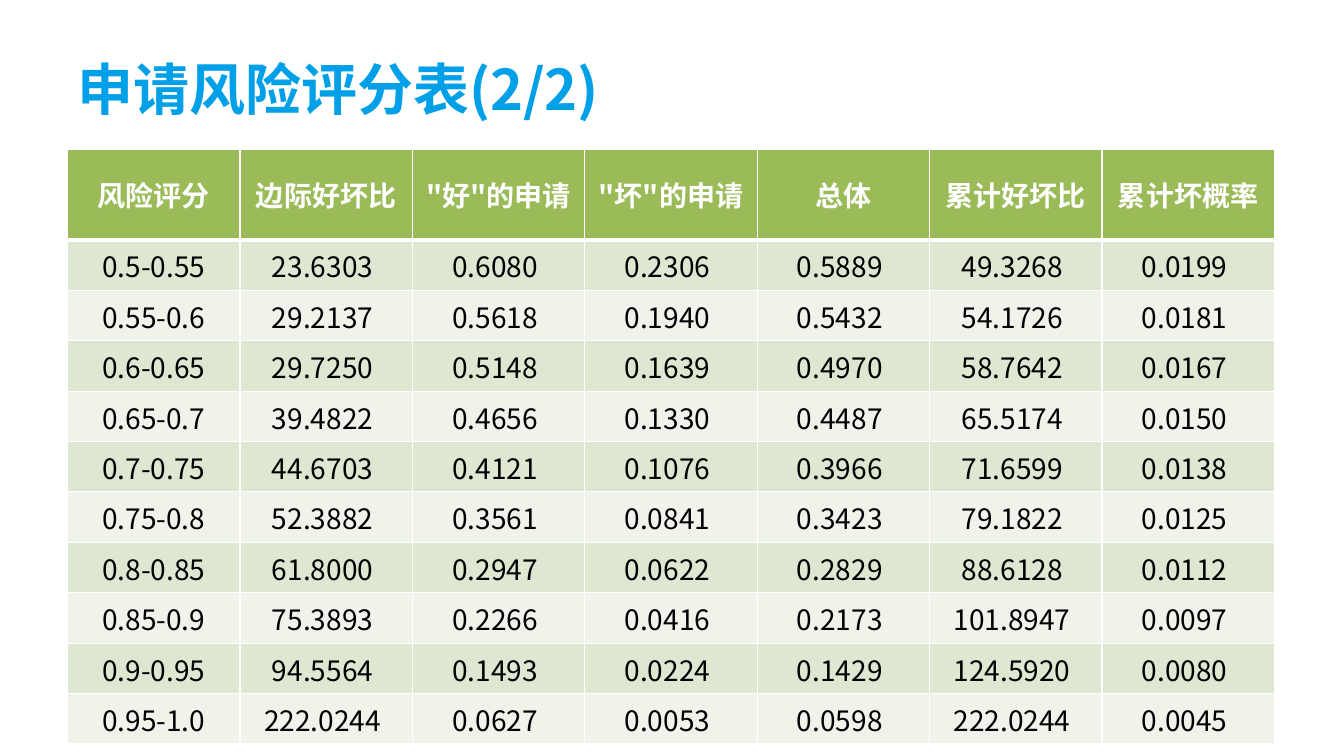
from dataclasses import dataclass

from lxml import etree
from pptx import Presentation
from pptx import util as u
from pptx.dml.color import RGBColor
from pptx.enum import text
from pptx.oxml import ns

FONT = "Noto Sans CJK SC"
WHITE = "FFFFFF"
HEADINGS = ["风险评分", "边际好坏比", '"好"的申请', '"坏"的申请', "总体", "累计好坏比", "累计坏概率"]
SCORES = [
    ["0.5-0.55", "23.6303", "0.6080", "0.2306", "0.5889", "49.3268", "0.0199"],
    ["0.55-0.6", "29.2137", "0.5618", "0.1940", "0.5432", "54.1726", "0.0181"],
    ["0.6-0.65", "29.7250", "0.5148", "0.1639", "0.4970", "58.7642", "0.0167"],
    ["0.65-0.7", "39.4822", "0.4656", "0.1330", "0.4487", "65.5174", "0.0150"],
    ["0.7-0.75", "44.6703", "0.4121", "0.1076", "0.3966", "71.6599", "0.0138"],
    ["0.75-0.8", "52.3882", "0.3561", "0.0841", "0.3423", "79.1822", "0.0125"],
    ["0.8-0.85", "61.8000", "0.2947", "0.0622", "0.2829", "88.6128", "0.0112"],
    ["0.85-0.9", "75.3893", "0.2266", "0.0416", "0.2173", "101.8947", "0.0097"],
    ["0.9-0.95", "94.5564", "0.1493", "0.0224", "0.1429", "124.5920", "0.0080"],
    ["0.95-1.0", "222.0244", "0.0627", "0.0053", "0.0598", "222.0244", "0.0045"],
]
COLUMN_WIDTH = 1.71
HEADER_HEIGHT = 0.9  # room for two lines of heading
SCORE_HEIGHT = 0.5


@dataclass(frozen=True)
class RowStyle:
    fill: str
    ink: str = "000000"
    bold: bool = False
    top: float = 1
    bottom: float = 1


HEADER = RowStyle("9BBB59", WHITE, bold=True, bottom=3)
FIRST = RowStyle("DEE7D1", top=3)
BANDS = [RowStyle("DEE7D1"), RowStyle("EFF3EA")]


def color(code: str) -> RGBColor:
    return RGBColor.from_string(code)


def add_run(paragraph, wording: str, size: float, ink: str, bold: bool) -> None:
    run = paragraph.add_run()
    run.text = wording
    run.font.size = u.Pt(size)
    run.font.bold = bold
    run.font.color.rgb = color(ink)
    run.font.name = FONT
    east_asian = etree.SubElement(run.font._element, ns.qn("a:ea"))
    east_asian.set("typeface", FONT)


def add_borders(cell, style: RowStyle) -> None:
    """Rule the four sides in white; call before the fill, which must follow in the XML."""
    properties = cell._tc.get_or_add_tcPr()
    for side, width in (("L", 1), ("R", 1), ("T", style.top), ("B", style.bottom)):
        line = etree.SubElement(properties, ns.qn(f"a:ln{side}"), w=str(u.Pt(width)))
        solid = etree.SubElement(line, ns.qn("a:solidFill"))
        etree.SubElement(solid, ns.qn("a:srgbClr"), val=WHITE)


def fill_cell(cell, wording: str, style: RowStyle) -> None:
    add_borders(cell, style)
    cell.fill.solid()
    cell.fill.fore_color.rgb = color(style.fill)
    cell.vertical_anchor = text.MSO_ANCHOR.MIDDLE
    paragraph = cell.text_frame.paragraphs[0]
    paragraph.alignment = text.PP_ALIGN.CENTER
    add_run(paragraph, wording, 20, style.ink, style.bold)


def add_title(slide, wording: str) -> None:
    box = slide.shapes.add_textbox(u.Inches(0.67), u.Inches(0.36), u.Inches(12), u.Inches(1.02))
    box.text_frame.word_wrap = True
    box.text_frame.vertical_anchor = text.MSO_ANCHOR.MIDDLE
    add_run(box.text_frame.paragraphs[0], wording, 40, "00A0E9", True)


def add_score_table(slide) -> None:
    table = slide.shapes.add_table(
        len(SCORES) + 1, len(HEADINGS), u.Inches(0.67), u.Inches(1.48),
        u.Inches(COLUMN_WIDTH * len(HEADINGS)),
        u.Inches(HEADER_HEIGHT + SCORE_HEIGHT * len(SCORES)),
    ).table
    table.rows[0].height = u.Inches(HEADER_HEIGHT)
    for column, heading in enumerate(HEADINGS):
        table.columns[column].width = u.Inches(COLUMN_WIDTH)
        fill_cell(table.cell(0, column), heading, HEADER)
    for row, scores in enumerate(SCORES):
        table.rows[row + 1].height = u.Inches(SCORE_HEIGHT)
        style = BANDS[row % 2] if row else FIRST
        for column, score in enumerate(scores):
            cell = table.cell(row + 1, column)
            cell.margin_left = cell.margin_top = u.Inches(0.01)
            cell.margin_right = u.Inches(0.08 if column else 0.01)
            cell.margin_bottom = 0
            fill_cell(cell, score, style)


def main() -> None:
    deck = Presentation()
    deck.slide_width, deck.slide_height = u.Inches(13.33), u.Inches(7.5)
    slide = deck.slides.add_slide(deck.slide_layouts[6])
    add_title(slide, "申请风险评分表(2/2)")
    add_score_table(slide)
    deck.save("out.pptx")


if __name__ == "__main__":
    main()
